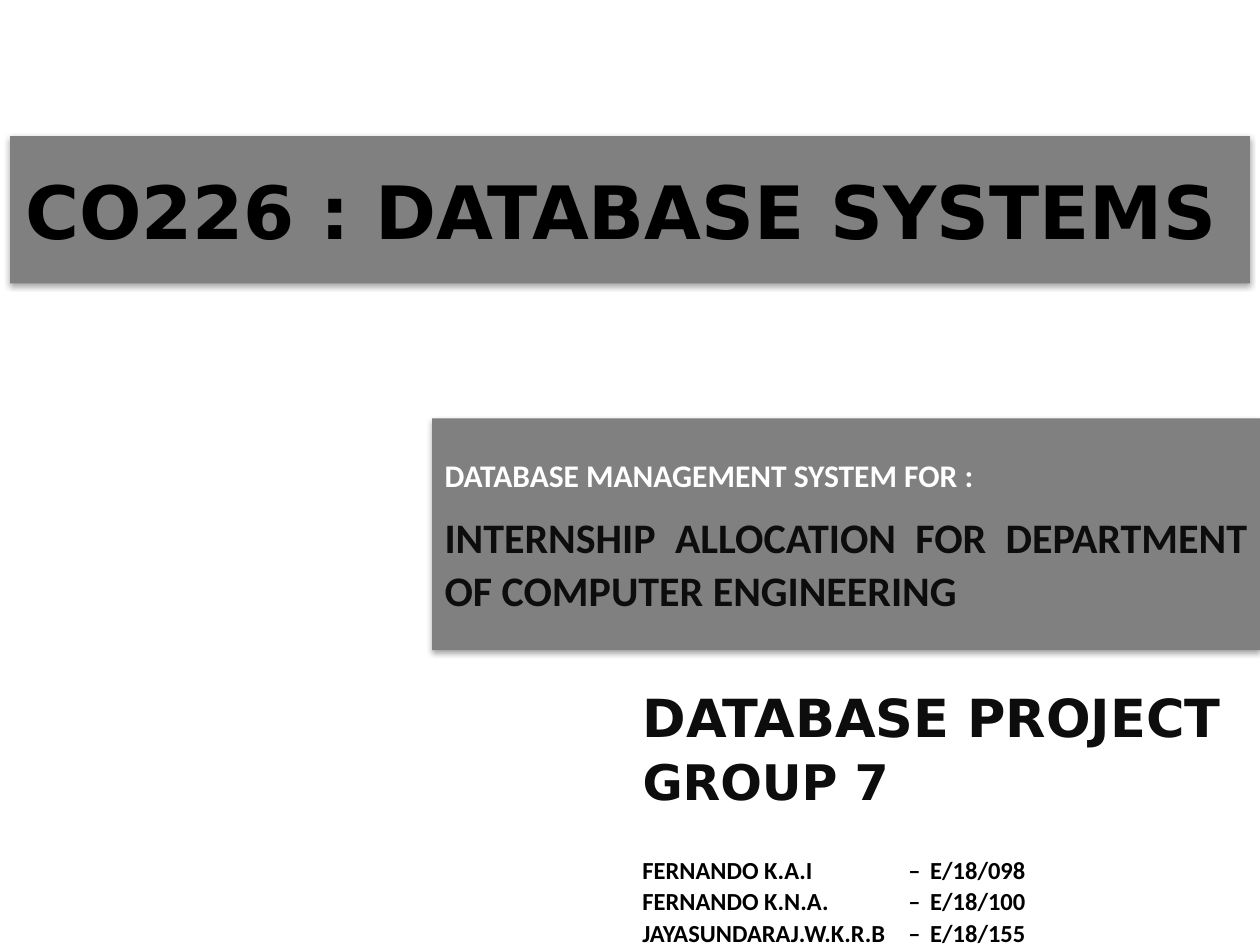
from lxml import etree
from pptx import Presentation
from pptx.dml.color import RGBColor
from pptx.enum.shapes import MSO_SHAPE
from pptx.enum.text import MSO_ANCHOR, PP_ALIGN
from pptx.oxml.ns import qn
from pptx.util import Pt

LEFT, JUSTIFY = PP_ALIGN.LEFT, PP_ALIGN.JUSTIFY
TOP, MIDDLE = MSO_ANCHOR.TOP, MSO_ANCHOR.MIDDLE
RECTANGLE = MSO_SHAPE.RECTANGLE

COLORS = {"panel": "808080", "black": "000000", "ink": "0D0D0D",
          "white": "FFFFFF", "gold": "B07800"}
HEADING_FONT, BODY_FONT = "DejaVu Sans", "Calibri"

COURSE = "CO226 : DATABASE SYSTEMS"
GROUP = [("DATABASE PROJECT", 30), ("GROUP 7", 28)]
TOPIC = [("DATABASE MANAGEMENT SYSTEM FOR :", 18, "white"),
         ("INTERNSHIP ALLOCATION FOR DEPARTMENT OF COMPUTER ENGINEERING", 24, "ink")]
MEMBERS = [("FERNANDO K.A.I", "E/18/098"),
           ("FERNANDO K.N.A.", "E/18/100"),
           ("JAYASUNDARAJ.W.K.R.B", "E/18/155")]
MEMBER_TABS = (152, 164.5)

# left, top, width, height in points
BANNER_AREA = (5.76, 77.76, 708.48, 84.24)
TITLE_AREA = (7.2, 72, 708.48, 95.76)
GROUP_AREA = (360, 388.08, 360, 79.92)
TOPIC_AREA = (246.96, 239.04, 473.04, 132.48)
MEMBERS_AREA = (360, 483.84, 295.2, 87.12)


def add_shadow(properties, color, blur, distance, angle, opacity):
    """Append an outer shadow to shape or run properties."""
    effects = etree.SubElement(properties, qn("a:effectLst"))
    shadow = etree.SubElement(effects, qn("a:outerShdw"), blurRad=str(Pt(blur)),
                              dist=str(Pt(distance)), dir=str(angle * 60000),
                              algn="tl", rotWithShape="0")
    tint = etree.SubElement(shadow, qn("a:srgbClr"), val=COLORS[color])
    etree.SubElement(tint, qn("a:alpha"), val=str(opacity * 1000))


def place(box, area):
    box.left, box.top, box.width, box.height = map(Pt, area)


def add_panel(page, area):
    panel = page.shapes.add_shape(RECTANGLE, *map(Pt, area))
    panel.fill.solid()
    panel.fill.fore_color.rgb = RGBColor.from_string(COLORS["panel"])
    panel.line.fill.background()
    add_shadow(panel.element.spPr, "black", 3.1, 1.8, 90, 35)
    return panel


def set_tabs(para, stops):
    tabs = etree.SubElement(para._p.get_or_add_pPr(), qn("a:tabLst"))
    for stop in stops:
        etree.SubElement(tabs, qn("a:tab"), pos=str(Pt(stop)), algn="l")


def add_text(frame, text, size, color, font=BODY_FONT, align=JUSTIFY,
             spacing=1.07, before=0, after=0, glow=False):
    """Fill the frame's first paragraph if it is empty, else add one."""
    last = frame.paragraphs[-1]
    para = frame.add_paragraph() if last.runs else last
    para.alignment = align
    para.line_spacing = spacing
    para.space_before, para.space_after = Pt(before), Pt(after)
    span = para.add_run()
    span.text = text
    span.font.size, span.font.bold = Pt(size), True
    span.font.color.rgb = RGBColor.from_string(COLORS[color])
    if glow:
        add_shadow(span.font._element, "gold", 0, 2, 45, 100)
    span.font.name = font
    return para


def main():
    deck = Presentation()
    deck.slide_width, deck.slide_height = Pt(720), Pt(540)
    page = deck.slides.add_slide(deck.slide_layouts[0])
    title, group = page.placeholders
    heading = {"font": HEADING_FONT, "align": LEFT, "spacing": 1.0, "glow": True}

    banner = add_panel(page, BANNER_AREA)
    title.element.addprevious(banner.element)
    place(title, TITLE_AREA)
    title.text_frame.vertical_anchor = MIDDLE
    add_text(title.text_frame, COURSE, 42, "black", **heading)

    place(group, GROUP_AREA)
    group.text_frame.vertical_anchor = TOP
    for text, size in GROUP:
        add_text(group.text_frame, text, size, "ink", before=2, **heading)

    topic = add_panel(page, TOPIC_AREA)
    topic.text_frame.vertical_anchor = MIDDLE
    for text, size, color in TOPIC:
        add_text(topic.text_frame, text, size, color, after=8)

    members = page.shapes.add_textbox(*map(Pt, MEMBERS_AREA))
    members.text_frame.word_wrap = True
    for name, number in MEMBERS:
        para = add_text(members.text_frame, f"{name}\t–\t{number}", 14, "black")
        set_tabs(para, MEMBER_TABS)

    deck.save("out.pptx")


if __name__ == "__main__":
    main()
